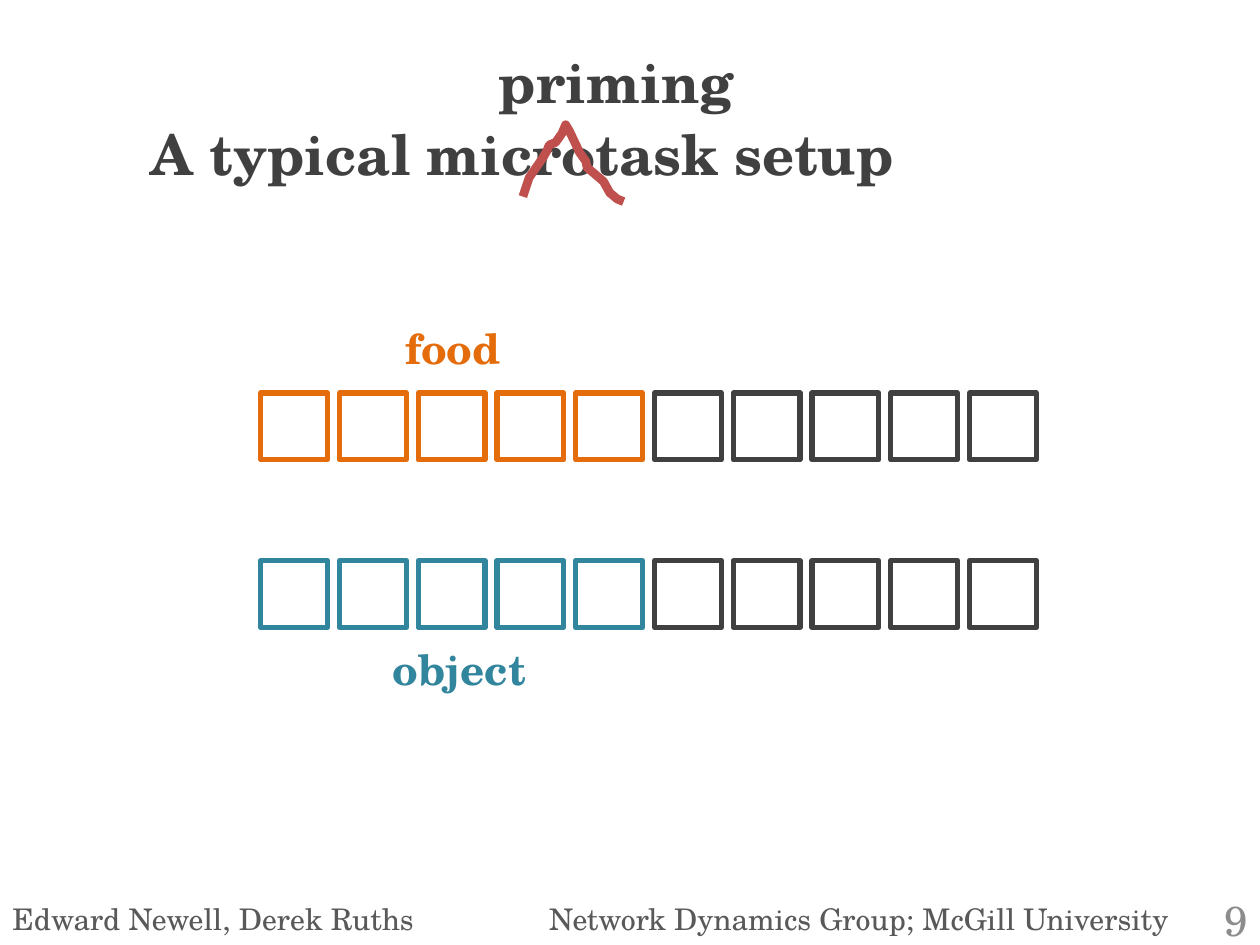
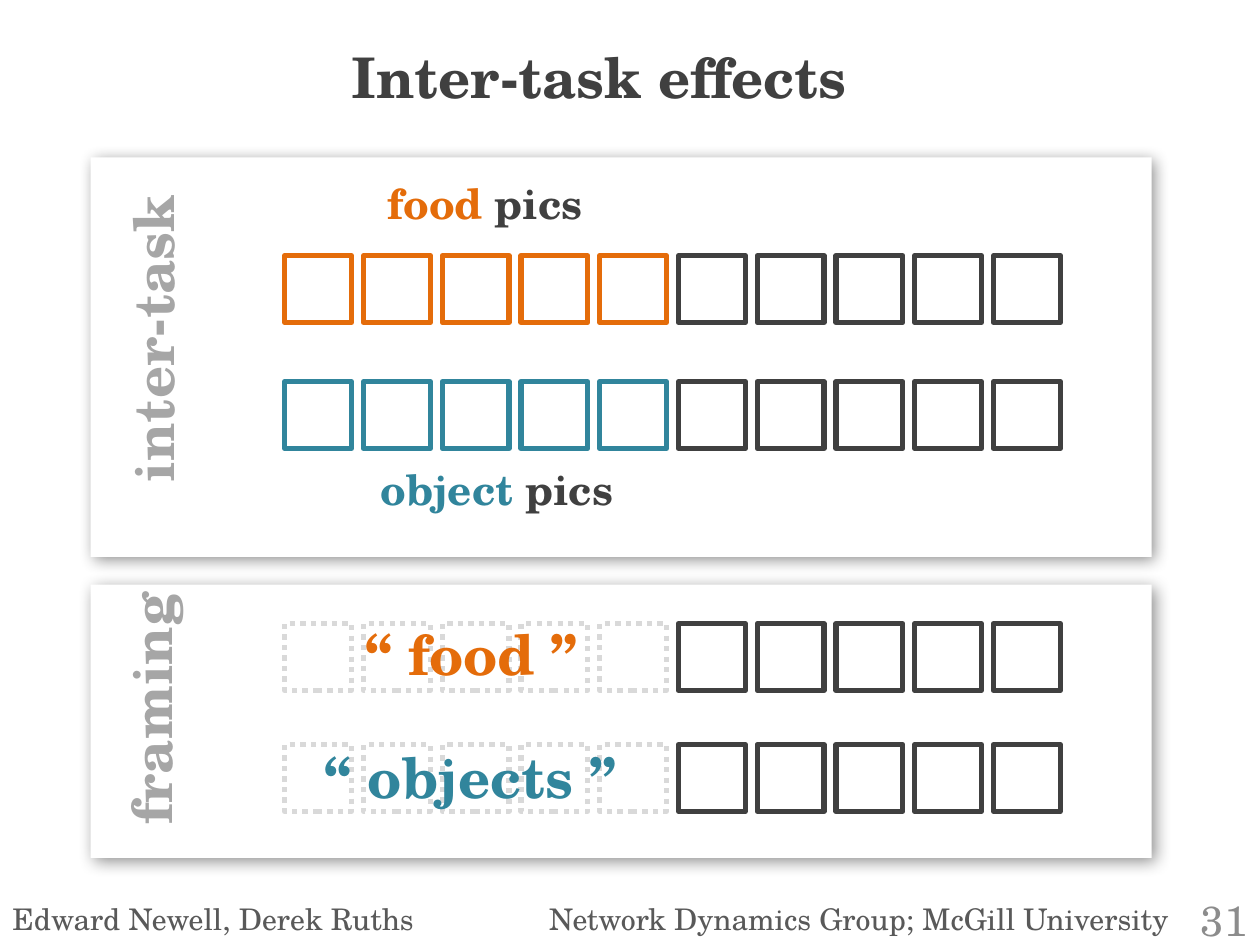
from lxml import etree
from pptx import Presentation
from pptx.dml.color import RGBColor
from pptx.enum import dml, shapes, text
from pptx.oxml import ns
from pptx.util import Inches, Pt

FONT = "TeX Gyre Schola"
WHITE = RGBColor(0xFF, 0xFF, 0xFF)
DARK = RGBColor(0x40, 0x40, 0x40)
ORANGE = RGBColor(0xE4, 0x6C, 0x0A)
TEAL = RGBColor(0x31, 0x85, 0x9C)
RED = RGBColor(0xC0, 0x50, 0x4D)
FOOTER_GRAY = RGBColor(0x59, 0x59, 0x59)
NUMBER_GRAY = RGBColor(0x8C, 0x8C, 0x8C)
LABEL_GRAY = RGBColor(0xA6, 0xA6, 0xA6)
PALE = RGBColor(0xD9, 0xD9, 0xD9)

TASK_SIZE = 0.53
TASK_PITCH = 0.625
TASKS_PER_HALF = 5


def add_text(slide, left, top, width, height, size, runs, bold=True):
    box = slide.shapes.add_textbox(Inches(left), Inches(top), Inches(width), Inches(height))
    box.text_frame.word_wrap = True
    for words, color in runs:
        run = box.text_frame.paragraphs[0].add_run()
        run.text = words
        run.font.name = FONT
        run.font.size = Pt(size)
        run.font.bold = bold
        run.font.color.rgb = color
    return box


def add_task_row(slide, left, top, first_half_color, dotted=False):
    for i in range(2 * TASKS_PER_HALF):
        first_half = i < TASKS_PER_HALF
        task = slide.shapes.add_shape(
            shapes.MSO_SHAPE.RECTANGLE, Inches(left + i * TASK_PITCH), Inches(top),
            Inches(TASK_SIZE), Inches(TASK_SIZE))
        task.shadow.inherit = False
        task.fill.background()
        task.line.color.rgb = first_half_color if first_half else DARK
        task.line.width = Pt(3)
        if first_half and dotted:
            task.line.dash_style = dml.MSO_LINE.ROUND_DOT


prs = Presentation()
prs.slide_width = Inches(10)
prs.slide_height = Inches(7.5)

priming_slide, effects_slide = [prs.slides.add_slide(prs.slide_layouts[6]) for _ in range(2)]

for slide, number, number_left in [(priming_slide, "9", 9.55), (effects_slide, "31", 9.25)]:
    footer = add_text(slide, 0, 7.1, 9.55, 0.39, 17, [
        ("Edward Newell, Derek Ruths\tNetwork Dynamics Group; McGill University", FOOTER_GRAY),
    ], bold=False)
    footer_format = footer.text_frame.paragraphs[0]._p.get_or_add_pPr()
    tabs = etree.SubElement(footer_format, ns.qn("a:tabLst"))
    etree.SubElement(tabs, ns.qn("a:tab"), pos=str(Inches(4.26)), algn="l")

    page = add_text(slide, number_left, 7.1, 10 - number_left, 0.4, 24,
                    [(number, NUMBER_GRAY)], bold=False)
    page.text_frame.vertical_anchor = text.MSO_ANCHOR.MIDDLE
    page.text_frame.paragraphs[0].alignment = text.PP_ALIGN.RIGHT

add_task_row(priming_slide, 2.07, 3.12, ORANGE)
add_task_row(priming_slide, 2.07, 4.45, TEAL)
add_text(priming_slide, 3.02, 5.06, 2.25, 0.5, 24, [("object", TEAL)])
add_text(priming_slide, 3.12, 2.51, 1.07, 0.5, 24, [("food", ORANGE)])
add_text(priming_slide, 1.1, 0.9, 7.84, 0.64, 32, [("A typical microtask setup", DARK)])

caret_points = [
    (4.15, 1.56), (4.2, 1.41), (4.31, 1.25), (4.34, 1.2), (4.36, 1.15), (4.41, 1.13),
    (4.46, 1.06), (4.49, 0.99), (4.52, 1.04), (4.6, 1.21), (4.65, 1.28), (4.66, 1.33),
    (4.72, 1.38), (4.79, 1.44), (4.84, 1.53), (4.9, 1.58), (4.95, 1.6),
]
caret_path = [(Inches(x), Inches(y)) for x, y in caret_points]
builder = priming_slide.shapes.build_freeform(*caret_path[0])
builder.add_line_segments(caret_path[1:], close=False)
caret = builder.convert_to_shape()
caret.shadow.inherit = False
caret.fill.background()
caret.line.color.rgb = RED
caret.line.width = Pt(5)

add_text(priming_slide, 3.86, 0.33, 2.24, 0.64, 32, [("priming", DARK)])

for top, height, blur in [(1.25, 3.17, 8.8), (4.64, 2.17, 9.8)]:
    panel = effects_slide.shapes.add_shape(
        shapes.MSO_SHAPE.RECTANGLE, Inches(0.72), Inches(top), Inches(8.42), Inches(height))
    panel.fill.solid()
    panel.fill.fore_color.rgb = WHITE
    panel.line.fill.background()
    panel.shadow.inherit = False
    effects = panel._element.spPr.find(ns.qn("a:effectLst"))
    shadow = etree.SubElement(effects, ns.qn("a:outerShdw"), blurRad=str(Pt(blur)),
                              dist=str(Pt(3)), dir="2700000", algn="tl", rotWithShape="0")
    shadow_color = etree.SubElement(shadow, ns.qn("a:srgbClr"), val="000000")
    etree.SubElement(shadow_color, ns.qn("a:alpha"), val="43000")

add_text(effects_slide, 2.69, 0.29, 4.19, 0.64, 32, [("Inter-task effects", DARK)])

for top, color, dotted in [(2.03, ORANGE, False), (3.03, TEAL, False),
                           (4.95, PALE, True), (5.91, PALE, True)]:
    add_task_row(effects_slide, 2.26, top, color, dotted)

add_text(effects_slide, 2.8, 4.87, 2.17, 0.64, 32, [("“ food ”", ORANGE)])
add_text(effects_slide, 2.48, 5.84, 2.78, 0.64, 32, [("“ objects ”", TEAL)])
add_text(effects_slide, 2.92, 3.63, 2.25, 0.5, 24, [("object ", TEAL), ("pics", DARK)])
add_text(effects_slide, 2.98, 1.36, 2.25, 0.5, 24, [("food ", ORANGE), ("pics", DARK)])

for words, left, top in [("inter-task", -0.06, 2.33), ("framing", -0.08, 5.05)]:
    panel_label = add_text(effects_slide, left, top, 2.55, 0.64, 32, [(words, LABEL_GRAY)])
    panel_label.rotation = 270

prs.save("out.pptx")
